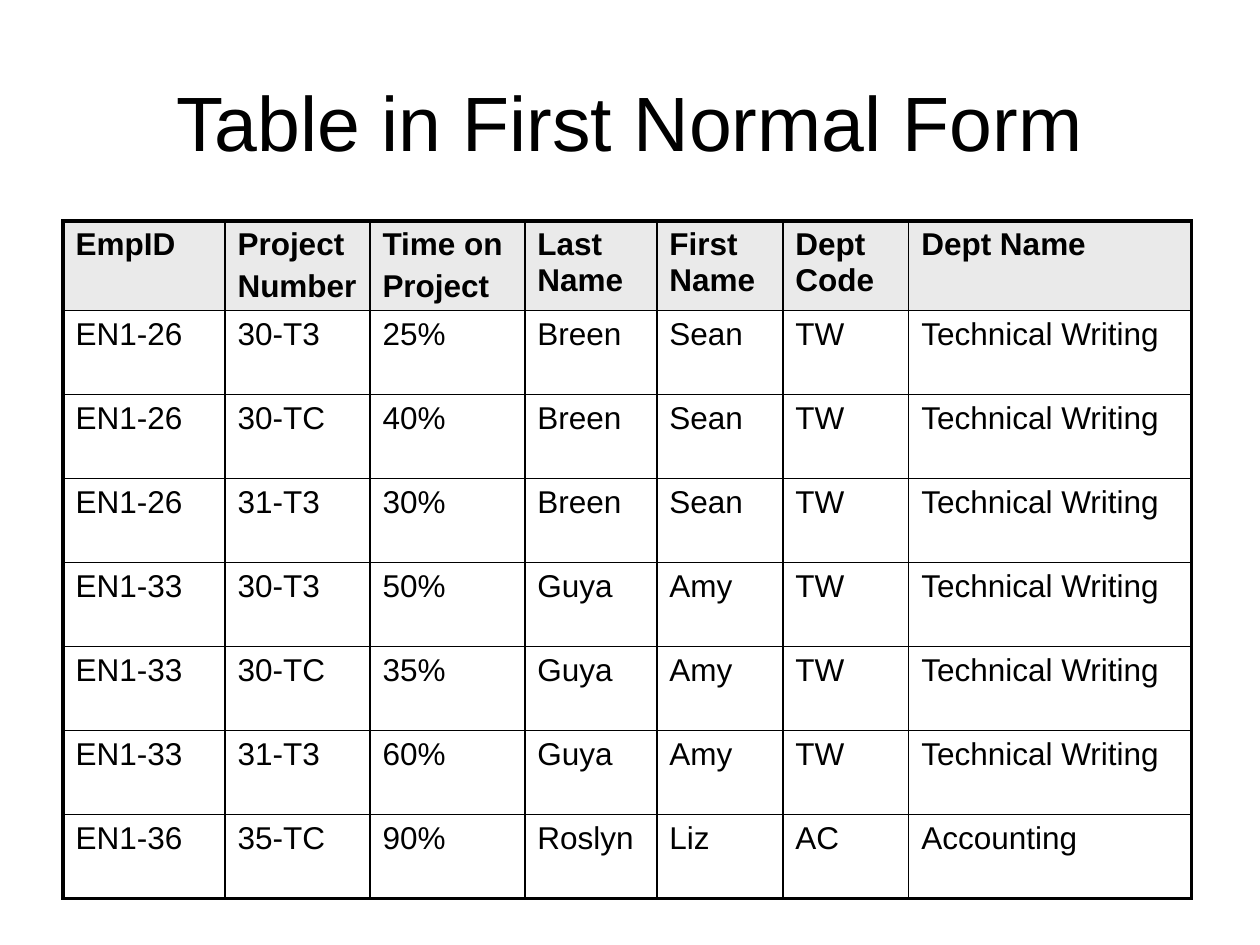
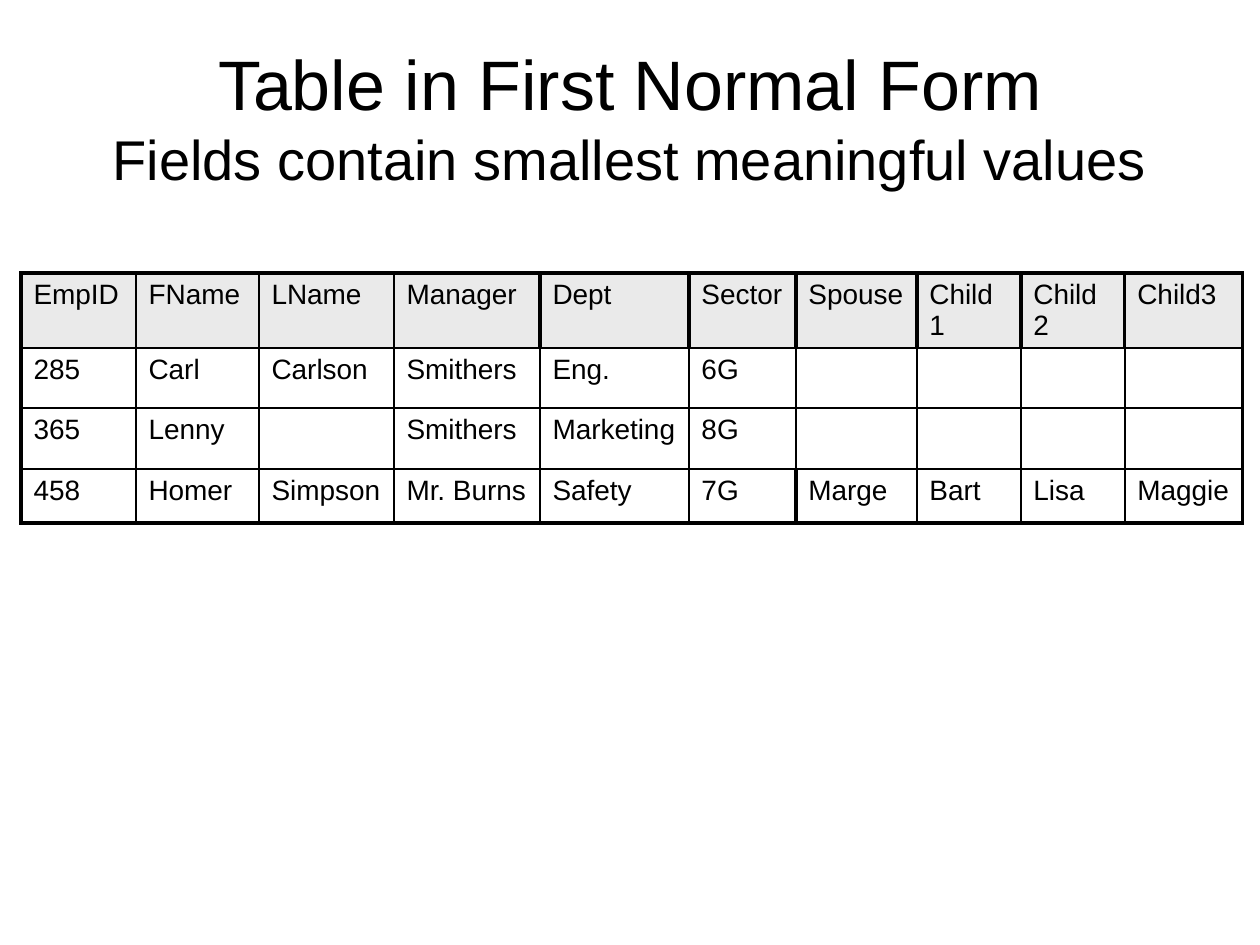
from lxml.etree import SubElement
from pptx import Presentation
from pptx.dml.color import RGBColor
from pptx.enum.text import MSO_ANCHOR, PP_ALIGN
from pptx.oxml.ns import qn
from pptx.util import Pt

PX = 914400 // 126
FONT = "Arial"
BLACK = "000000"
HEADER_FILL = "EAEAEA"
THIN, THICK = 1, 2.25
TITLE = "Table in First Normal Form"


def rgb(value):
    return RGBColor.from_string(value)


def format_font(r, size, bold=False):
    for name, value in {"name": FONT, "size": Pt(size), "bold": bold}.items():
        setattr(r.font, name, value)
    r.font.color.rgb = rgb(BLACK)


def add_title(s, box, lines):
    sp = s.shapes.title
    for name, value in zip(("left", "top", "width", "height"), box):
        setattr(sp, name, value * PX)
    tf = sp.text_frame
    tf.vertical_anchor = MSO_ANCHOR.MIDDLE
    p = tf.paragraphs[0]
    p.alignment = PP_ALIGN.CENTER
    for i, (text, size) in enumerate(lines):
        if i:
            p.add_line_break()
            br = p._p.find(qn("a:br"))
            SubElement(br, qn("a:rPr"), sz=str(lines[i - 1][1] * 100))
        r = p.add_run()
        r.text = text
        format_font(r, size)


def set_borders(cell, widths):
    tcPr = cell._tc.get_or_add_tcPr()
    for i, (side, width) in enumerate(zip("LRTB", widths)):
        ln = SubElement(tcPr, qn(f"a:ln{side}"), w=str(Pt(width)))
        fill = SubElement(ln, qn("a:solidFill"))
        SubElement(fill, qn("a:srgbClr"), val=BLACK)
        tcPr.insert(i, ln)


def fill_cell(cell, text, size, bold):
    tf = cell.text_frame
    for i, line in enumerate(text.split("\n") if text else []):
        p = tf.add_paragraph() if i else tf.paragraphs[0]
        spacing = SubElement(p._p.get_or_add_pPr(), qn("a:spcBef"))
        SubElement(spacing, qn("a:spcPct"), val="20000")
        r = p.add_run()
        r.text = line
        format_font(r, size, bold)


def add_grid(s, left, top, widths, heights, rows, size, bold_header=False, thick_edges=()):
    n_rows, n_cols = len(heights), len(widths)
    box = [v * PX for v in (left, top, sum(widths), sum(heights))]
    table = s.shapes.add_table(n_rows, n_cols, *box).table
    table.first_row = table.horz_banding = False
    for column, width in zip(table.columns, widths):
        column.width = width * PX
    for row, height in zip(table.rows, heights):
        row.height = height * PX

    def upright(row, edge):
        return THICK if edge in (0, n_cols) or (row, edge) in thick_edges else THIN

    def level(edge):
        return THICK if edge in (0, n_rows) else THIN

    for i, texts in enumerate(rows):
        for j, text in enumerate(texts):
            cell = table.cell(i, j)
            if i == 0:
                cell.fill.solid()
                cell.fill.fore_color.rgb = rgb(HEADER_FILL)
            else:
                cell.fill.background()
            fill_cell(cell, text, size, bold_header and i == 0)
            set_borders(cell, (upright(i, j), upright(i, j + 1), level(i), level(i + 1)))


def project_slide(s):
    add_title(s, (63, 42, 1134, 157), [(TITLE, 44)])
    header = ("EmpID", "Project\nNumber", "Time on\nProject", "Last Name",
              "First Name", "Dept Code", "Dept Name")
    writing = ("TW", "Technical Writing")
    breen = ("Breen", "Sean", *writing)
    guya = ("Guya", "Amy", *writing)
    rows = [
        header,
        ("EN1-26", "30-T3", "25%", *breen),
        ("EN1-26", "30-TC", "40%", *breen),
        ("EN1-26", "31-T3", "30%", *breen),
        ("EN1-33", "30-T3", "50%", *guya),
        ("EN1-33", "30-TC", "35%", *guya),
        ("EN1-33", "31-T3", "60%", *guya),
        ("EN1-36", "35-TC", "90%", "Roslyn", "Liz", "AC", "Accounting"),
    ]
    add_grid(s, 63, 221, (162, 145, 155, 132, 126, 126, 283), [89] + [84] * 7,
             rows, 18, bold_header=True)


def family_slide(s):
    add_title(s, (63, 38, 1134, 157),
              [(TITLE, 40), ("Fields contain smallest meaningful values", 32)])
    rows = [
        ("EmpID", "FName", "LName", "Manager", "Dept", "Sector", "Spouse",
         "Child1", "Child2", "Child3"),
        ("285", "Carl", "Carlson", "Smithers", "Eng.", "6G", "", "", "", ""),
        ("365", "Lenny", "", "Smithers", "Marketing", "8G", "", "", "", ""),
        ("458", "Homer", "Simpson", "Mr. Burns", "Safety", "7G", "Marge",
         "Bart", "Lisa", "Maggie"),
    ]
    thick_edges = {(0, edge) for edge in range(4, 10)} | {(3, 6)}
    add_grid(s, 21, 273, (115, 123, 135, 146, 149, 107, 121, 104, 104, 118),
             (75, 60, 61, 54), rows, 16, thick_edges=thick_edges)


def main():
    prs = Presentation()
    prs.slide_width, prs.slide_height = 1260 * PX, 945 * PX
    for build in (project_slide, family_slide):
        build(prs.slides.add_slide(prs.slide_layouts[5]))
    prs.save("out.pptx")


if __name__ == "__main__":
    main()
